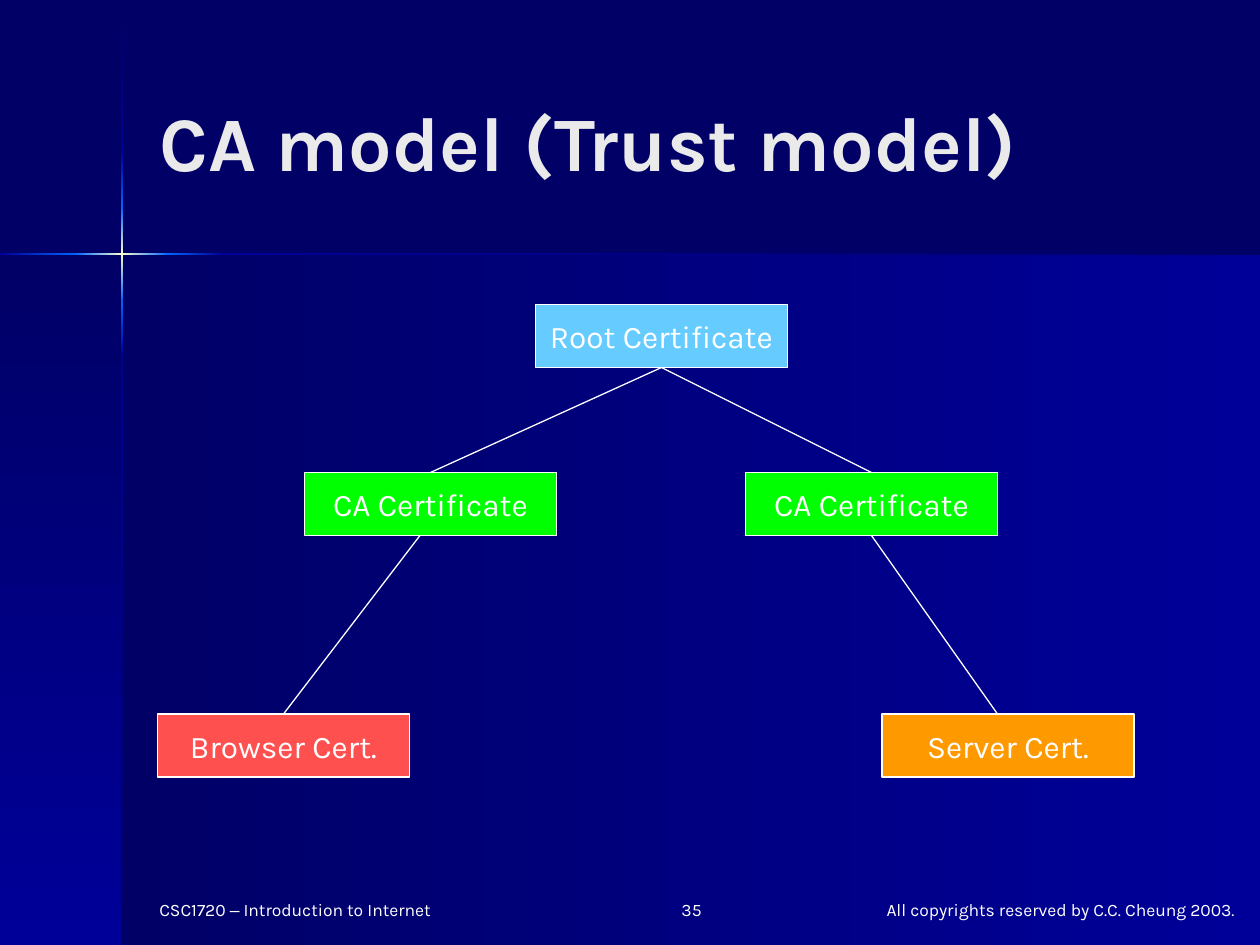
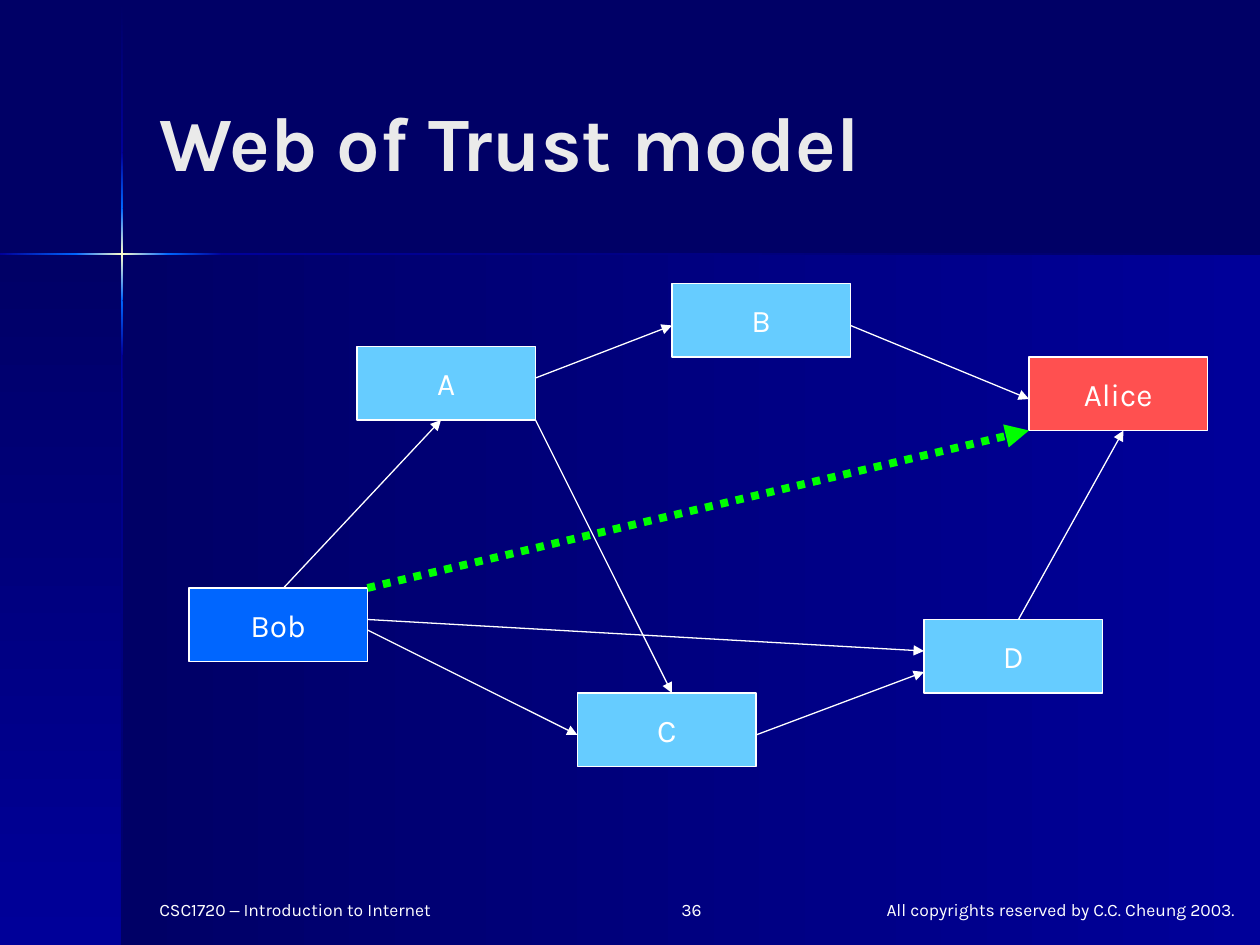
from lxml import etree
from pptx import Presentation
from pptx.dml.color import RGBColor
from pptx.enum.dml import MSO_LINE
from pptx.enum.shapes import MSO_CONNECTOR, MSO_SHAPE
from pptx.enum.text import MSO_ANCHOR, MSO_AUTO_SIZE, PP_ALIGN
from pptx.oxml.ns import qn
from pptx.util import Pt

RECT = MSO_SHAPE.RECTANGLE
STRAIGHT = MSO_CONNECTOR.STRAIGHT
DOTTED = MSO_LINE.ROUND_DOT
MIDDLE = MSO_ANCHOR.MIDDLE
NO_FIT = MSO_AUTO_SIZE.NONE
LEFT, CENTER, RIGHT = PP_ALIGN.LEFT, PP_ALIGN.CENTER, PP_ALIGN.RIGHT

EMU_PER_PX = 7620  # 120 px to the inch
SLIDE_W, SLIDE_H = 1200, 900
TITLE_ONLY = 5
FONT, DASH_FONT = "Karla", "Arial"

NAVY, INDIGO, BLUE, CREAM = "000066", "000099", "0066FF", "FFFFCC"
WHITE, TITLE_GREY = "FFFFFF", "EAEAEA"
SKY, GREEN, RED, ORANGE = "66CCFF", "00FF00", "FF5050", "FF9900"

# The two axes of the light cross, and the panels they divide
AXIS_X, AXIS_Y = 116, 242
DOWN, ACROSS = 90, 0
GLOW = (BLUE, CREAM, BLUE)
BANDS = [
    (AXIS_X, AXIS_Y, SLIDE_W - AXIS_X, SLIDE_H - AXIS_Y, ACROSS, (NAVY, INDIGO)),
    (0, AXIS_Y, AXIS_X, SLIDE_H - AXIS_Y, DOWN, (NAVY, INDIGO)),
]
BEAM_DOWN = [
    (1, 145, (NAVY, INDIGO)),
    (338, SLIDE_H, (INDIGO, NAVY)),
    (286, 338, (BLUE, INDIGO)),
    (145, 198, (INDIGO, BLUE)),
    (198, 286, GLOW),
]
BEAM_ACROSS = [
    (212, SLIDE_W, (INDIGO, NAVY)),
    (0, 73, (INDIGO, BLUE)),
    (160, 212, (BLUE, INDIGO)),
    (72, 160, GLOW),
]

CA_NODE_SIZE = (240, 60)
CA_NODES = [
    ("Root Certificate", 510, 290, SKY),
    ("CA Certificate", 290, 450, GREEN),
    ("Browser Cert.", 150, 680, RED),
    ("CA Certificate", 710, 450, GREEN),
    ("Server Cert.", 840, 680, ORANGE),
]
CA_LINKS = [
    (270, 680, 400, 510),
    (410, 450, 630, 350),
    (630, 350, 830, 450),
    (830, 510, 950, 680),
]

PERSON_SIZE = (170, 70)
PEOPLE = [
    ("Bob", 180, 560, BLUE),
    ("A", 340, 330, SKY),
    ("B", 640, 270, SKY),
    ("Alice", 980, 340, RED),
    ("D", 880, 590, SKY),
    ("C", 550, 660, SKY),
]
TRUST_ARROWS = [
    (270, 560, 420, 400),
    (510, 360, 640, 310),
    (810, 310, 980, 380),
    (510, 400, 640, 660),
    (350, 600, 550, 700),
    (350, 590, 880, 620),
    (720, 700, 880, 640),
    (970, 590, 1070, 410),
]
DERIVED_TRUST = (350, 560, 980, 410)


def px(*lengths):
    return [n * EMU_PER_PX for n in lengths]


def rgb(color):
    return RGBColor.from_string(color)


def style_text(p, size, color=WHITE, align=LEFT, bold=False):
    p.alignment = align
    for r in p.runs:
        r.font.name = FONT
        r.font.size = Pt(size)
        r.font.bold = bold
        r.font.color.rgb = rgb(color)


def add_gradient_rect(slide, x, y, w, h, angle, colors):
    """Add a borderless rectangle with evenly spaced gradient stops; angle is clockwise."""
    s = slide.shapes.add_shape(RECT, *px(x, y, w, h))
    s.shadow.inherit = False
    s.line.fill.background()
    s.fill.gradient()
    s.fill.gradient_angle = -angle % 360
    stops = s.element.spPr.find(".//" + qn("a:gsLst"))
    stops.clear()
    for i, color in enumerate(colors):
        stop = etree.SubElement(stops, qn("a:gs"), pos=str(i * 100000 // (len(colors) - 1)))
        etree.SubElement(stop, qn("a:srgbClr"), val=color)
    return s


def add_backdrop(layout, slide):
    """Draw the panels and light cross on a slide, then move them to its layout."""
    bands = list(BANDS)
    bands += [(AXIS_X - 1, a, 2, b - a, DOWN, colors) for a, b, colors in BEAM_DOWN]
    bands += [(a, AXIS_Y - 1, b - a, 2, ACROSS, colors) for a, b, colors in BEAM_ACROSS]
    for band in bands:
        layout.shapes.element.append(add_gradient_rect(slide, *band).element)


def set_title(slide, text):
    s = slide.shapes.title
    s.left, s.top, s.width, s.height = px(140, 40, 990, 188)
    tf = s.text_frame
    tf.text = text
    tf.word_wrap = True
    tf.auto_size = NO_FIT
    tf.vertical_anchor = MIDDLE
    style_text(tf.paragraphs[0], 44, TITLE_GREY, bold=True)


def add_footer_text(slide, x, w, align, *parts):
    tf = slide.shapes.add_textbox(*px(x, 850, w, 29)).text_frame
    tf.word_wrap = True
    p = tf.paragraphs[0]
    for part in parts:
        p.add_run().text = part
    style_text(p, 10, align=align)
    return p


def add_footers(slide, number):
    p = add_footer_text(slide, 140, 290, LEFT, "CSC1720 ", "–", " Introduction to Internet")
    p.runs[1].font.name = DASH_FONT
    add_footer_text(slide, 820, 380, CENTER, "All copyrights reserved by C.C. Cheung 2003.")
    add_footer_text(slide, 600, 80, RIGHT, str(number))


def add_node(slide, size, text, x, y, color):
    s = slide.shapes.add_shape(RECT, *px(x, y, *size))
    s.shadow.inherit = False
    s.fill.solid()
    s.fill.fore_color.rgb = rgb(color)
    s.line.color.rgb = rgb(WHITE)
    s.line.width = Pt(0.75)
    tf = s.text_frame
    tf.text = text
    tf.word_wrap = False
    tf.vertical_anchor = MIDDLE
    style_text(tf.paragraphs[0], 18, align=CENTER)


def add_link(slide, ends, color=WHITE, width=0.75, dash=None, arrow=False):
    c = slide.shapes.add_connector(STRAIGHT, *px(*ends))
    c.line.color.rgb = rgb(color)
    c.line.width = Pt(width)
    if dash:
        c.line.dash_style = dash
    if arrow:
        etree.SubElement(c.line._get_or_add_ln(), qn("a:tailEnd"), type="triangle")
    etree.SubElement(c.element.spPr, qn("a:effectLst"))


def add_titled_slide(prs, title, number):
    slide = prs.slides.add_slide(prs.slide_layouts[TITLE_ONLY])
    set_title(slide, title)
    add_footers(slide, number)
    return slide


def build_ca_model(prs):
    slide = add_titled_slide(prs, "CA model (Trust model)", 35)
    for node in CA_NODES:
        add_node(slide, CA_NODE_SIZE, *node)
    for ends in CA_LINKS:
        add_link(slide, ends)
    return slide


def build_web_of_trust(prs):
    slide = add_titled_slide(prs, "Web of Trust model", 36)
    for person in PEOPLE:
        add_node(slide, PERSON_SIZE, *person)
    for ends in TRUST_ARROWS:
        add_link(slide, ends, arrow=True)
    add_link(slide, DERIVED_TRUST, GREEN, 4.5, DOTTED, arrow=True)


def main():
    prs = Presentation()
    prs.slide_width, prs.slide_height = px(SLIDE_W, SLIDE_H)
    layout = prs.slide_layouts[TITLE_ONLY]
    layout.background.fill.solid()
    layout.background.fill.fore_color.rgb = rgb(NAVY)
    ca_slide = build_ca_model(prs)
    add_backdrop(layout, ca_slide)
    build_web_of_trust(prs)
    prs.save("out.pptx")


if __name__ == "__main__":
    main()
